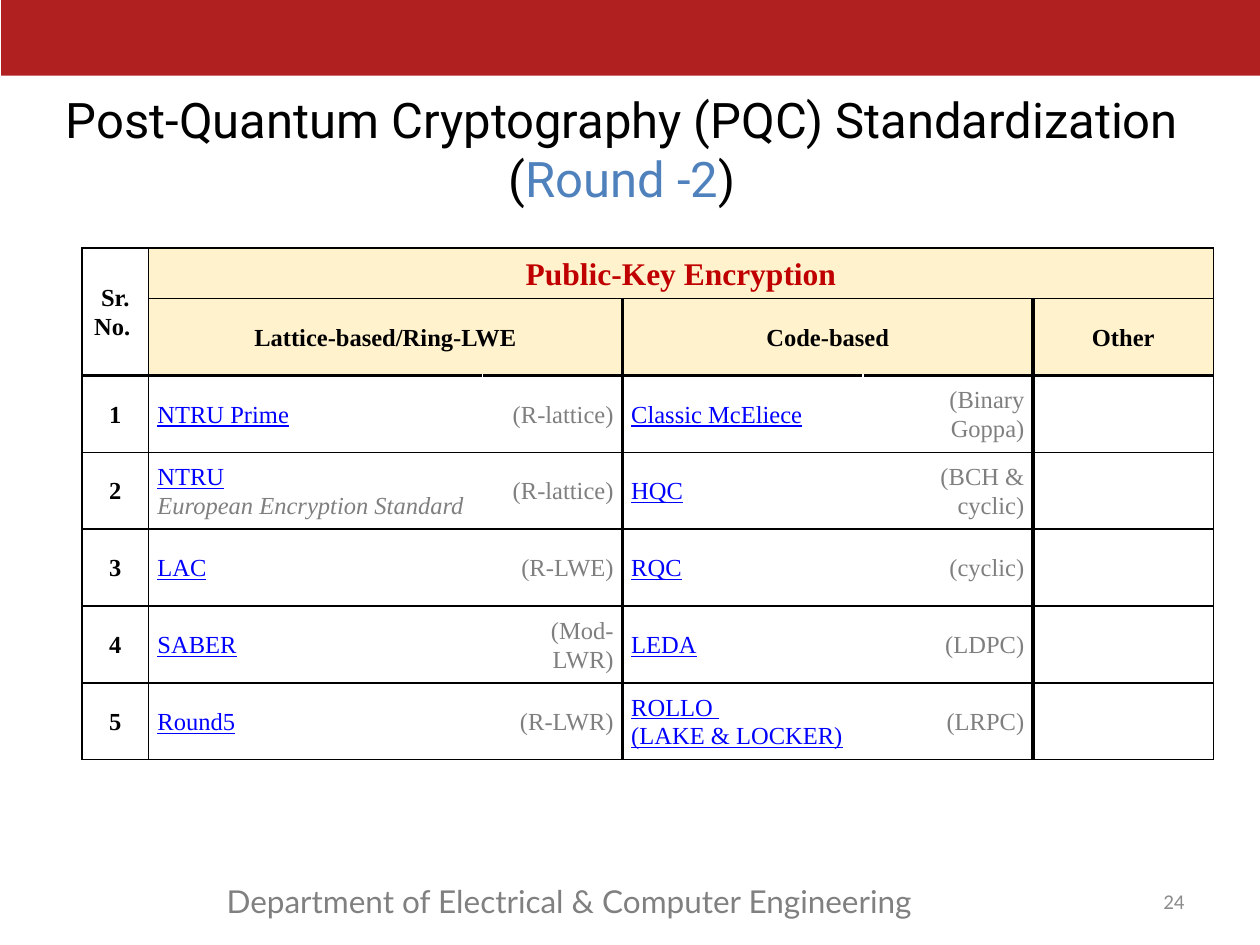
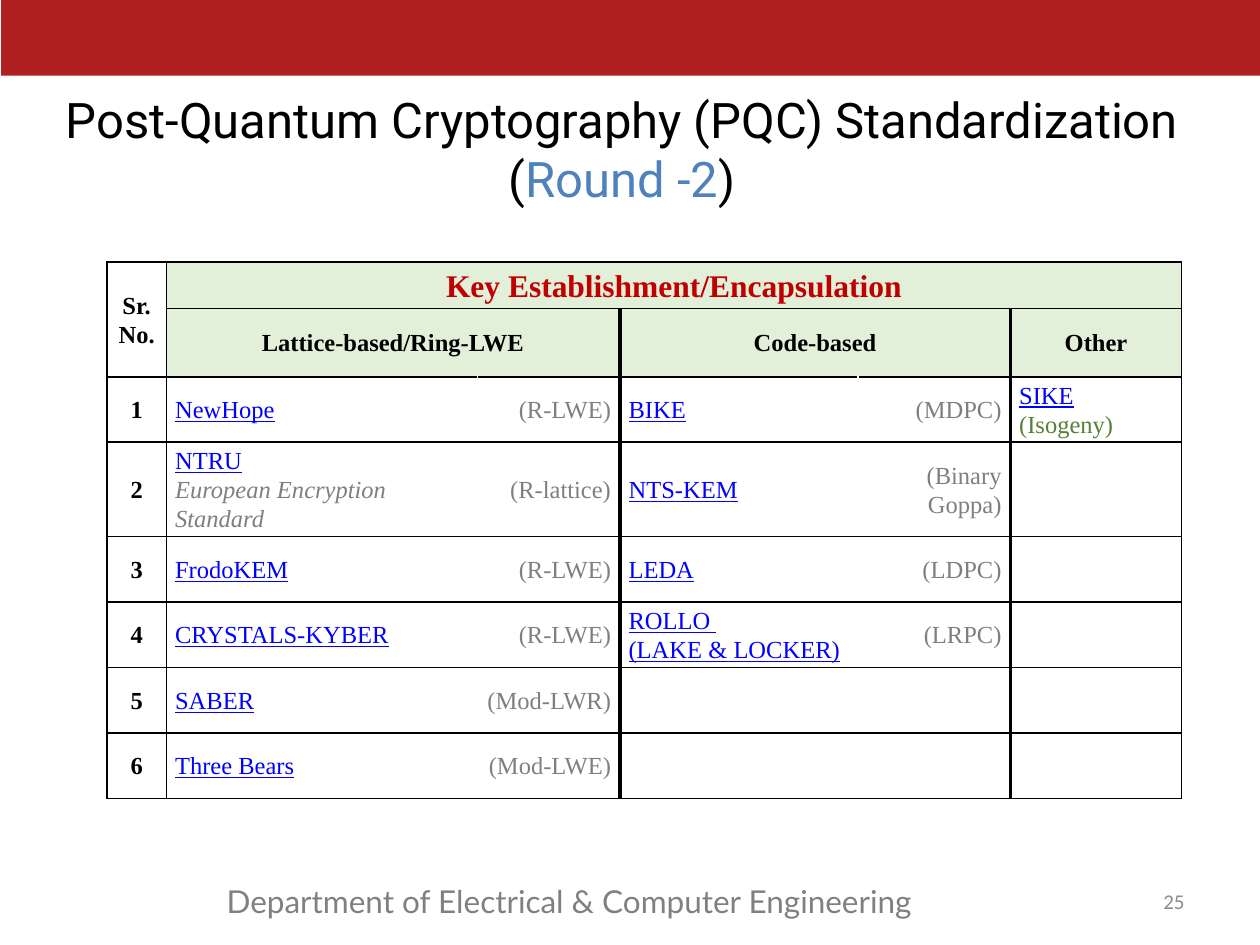
from lxml import etree
from pptx import Presentation
from pptx.dml.color import RGBColor
from pptx.enum import shapes, text
from pptx.oxml.ns import qn
from pptx.util import Inches, Pt

BLACK, WHITE, BAND, ACCENT = "000000", "FFFFFF", "B12020", "4F81BD"
FOOTER, NUMBER, HEADING = "808080", "8C8C8C", "C00000"
LINK, MUTED, GREEN = "0000FF", "7F7F7F", "538135"
LEFT, CENTER, RIGHT = text.PP_ALIGN.LEFT, text.PP_ALIGN.CENTER, text.PP_ALIGN.RIGHT

NTRU = [("NTRU", LINK, "u"), ("\n", BLACK, ""), ("European Encryption Standard", MUTED, "i")]
SIKE = [("SIKE", LINK, "u"), (" (Isogeny)", GREEN, "")]
ROLLO = "ROLLO \n(LAKE & LOCKER)"

ENCRYPTION = [
    ("NTRU Prime", "(R-lattice)", "Classic McEliece", "(Binary Goppa)", ""),
    (NTRU, "(R-lattice)", "HQC", "(BCH & cyclic)", ""),
    ("LAC", "(R-LWE)", "RQC", "(cyclic)", ""),
    ("SABER", "(Mod-LWR)", "LEDA", "(LDPC)", ""),
    ("Round5", "(R-LWR)", ROLLO, "(LRPC)", ""),
]
ENCAPSULATION = [
    ("NewHope", "(R-LWE)", "BIKE", "(MDPC)", SIKE),
    (NTRU, "(R-lattice)", "NTS-KEM", "(Binary Goppa)", ""),
    ("FrodoKEM", "(R-LWE)", "LEDA", "(LDPC)", ""),
    ("CRYSTALS-KYBER", "(R-LWE)", ROLLO, "(LRPC)", ""),
    ("SABER", "(Mod-LWR)", "", "", ""),
    ("Three Bears", "(Mod-LWE)", "", "", ""),
]


def rgb(value):
    """Turn a hex string into a colour."""
    return RGBColor.from_string(value)


class Deck:
    """Holds the shared style and the current slide."""

    def __init__(self):
        """Start an empty 4:3 presentation."""
        self.prs = Presentation()
        self.prs.slide_width, self.prs.slide_height = Inches(10), Inches(7.5)

    def new_slide(self, number):
        """Add a slide with its band, title, footer and number."""
        self.s = self.prs.slides.add_slide(self.prs.slide_layouts[5])
        self.band()
        self.title([("Post-Quantum Cryptography (PQC) Standardization (", BLACK, ""),
                    ("Round -2", ACCENT, ""), (")", BLACK, "")])
        self.label("Department of Electrical & Computer Engineering", 1.7, 5.77,
                   "Lato", 18, FOOTER, LEFT, text.MSO_ANCHOR.TOP)
        self.label(str(number), 8.91, 0.59, "Calibri", 12, NUMBER, RIGHT,
                   text.MSO_ANCHOR.MIDDLE)

    def put_text(self, tf, runs, font, size, align, bold=False):
        """Fill the first paragraph with (text, colour, style) runs."""
        p = tf.paragraphs[0]
        p.alignment = align
        p.font.name, p.font.size, p.font.bold = font, Pt(size), bold
        for words, colour, style in runs:
            for i, line in enumerate(words.split("\n")):
                if i:
                    p.add_line_break()
                if line:
                    r = p.add_run()
                    r.text = line
                    r.font.color.rgb = rgb(colour)
                    if "u" in style:
                        r.font.underline = True
                    if "i" in style:
                        r.font.italic = True
        return p

    def band(self):
        """Draw the red band along the top."""
        sp = self.s.shapes.add_shape(shapes.MSO_SHAPE.RECTANGLE, Inches(0.01), 0,
                                     Inches(10), Inches(0.6))
        sp.shadow.inherit = False
        sp.fill.solid()
        sp.fill.fore_color.rgb = rgb(BAND)
        sp.line.fill.background()

    def title(self, runs):
        """Place and fill the title placeholder."""
        sp = self.s.shapes.title
        sp.left, sp.top, sp.width, sp.height = map(Inches, (0.37, 0.81, 9.13, 0.74))
        tf = sp.text_frame
        tf.word_wrap = True
        tf.auto_size = text.MSO_AUTO_SIZE.NONE
        tf.vertical_anchor = text.MSO_ANCHOR.MIDDLE
        self.put_text(tf, runs, "Roboto", 28, CENTER)

    def label(self, words, left, width, font, size, colour, align, anchor):
        """Add one line of text at the foot of the slide."""
        sp = self.s.shapes.add_textbox(Inches(left), Inches(6.95), Inches(width), Inches(0.4))
        tf = sp.text_frame
        tf.word_wrap = True
        tf.vertical_anchor = anchor
        self.put_text(tf, [(words, colour, "")], font, size, align)

    def border(self, cell, side, colour, width):
        """Draw one edge of a cell."""
        ln = etree.SubElement(cell._tc.get_or_add_tcPr(), qn("a:ln" + side), w=str(Pt(width)))
        fill = etree.SubElement(ln, qn("a:solidFill"))
        etree.SubElement(fill, qn("a:srgbClr"), val=colour)

    def cell(self, table, row, col, runs, align=LEFT, size=14, bold=False,
             fill=None, span=(1, 1)):
        """Fill, frame and, where needed, merge a cell."""
        rows, cols = span
        column_edges = {2: (WHITE, 1), 4: (WHITE, 1), 3: (BLACK, 2.25), 5: (BLACK, 2.25)}
        row_edges = {2: (BLACK, 1.5)}
        thin = (BLACK, 1)
        edges = {"L": column_edges.get(col, thin), "R": column_edges.get(col + cols, thin),
                 "T": row_edges.get(row, thin), "B": row_edges.get(row + rows, thin)}
        origin = table.cell(row, col)
        if span != (1, 1):
            origin.merge(table.cell(row + rows - 1, col + cols - 1))
        for r in range(row, row + rows):
            for c in range(col, col + cols):
                part = table.cell(r, c)
                part.margin_left = part.margin_right = Inches(0.07)
                part.margin_top = part.margin_bottom = 0
                part.vertical_anchor = text.MSO_ANCHOR.MIDDLE
                for side, edge in edges.items():
                    self.border(part, side, *edge)
                if fill:
                    part.fill.solid()
                    part.fill.fore_color.rgb = rgb(fill)
                else:
                    part.fill.background()
        p = self.put_text(origin.text_frame, runs, "Times New Roman", size, align, bold)
        p.line_spacing = 1.07

    def scheme_table(self, heading, fill, body, left, top, widths, heights):
        """Add a table of numbered schemes under a two-row heading."""
        frame = self.s.shapes.add_table(len(heights), len(widths), Inches(left), Inches(top),
                                        Inches(sum(widths)), Inches(sum(heights)))
        table = frame.table
        table.first_row = table.horz_banding = False
        for column, width in zip(table.columns, widths):
            column.width = Inches(width)
        for row, height in zip(table.rows, heights):
            row.height = Inches(height)

        head = {"align": CENTER, "bold": True}
        self.cell(table, 0, 0, [("Sr. No. ", BLACK, "")], span=(2, 1), **head)
        self.cell(table, 0, 1, [(heading, HEADING, "")], size=18, fill=fill, span=(1, 5), **head)
        for col, name, cols in ((1, "Lattice-based/Ring-LWE", 2), (3, "Code-based", 2),
                                (5, "Other", 1)):
            self.cell(table, 1, col, [(name, BLACK, "")], fill=fill, span=(1, cols), **head)

        for number, schemes in enumerate(body, 1):
            self.cell(table, number + 1, 0, [(str(number), BLACK, "")], **head)
            for col, entry in enumerate(schemes, 1):
                is_family = col in (2, 4)
                if isinstance(entry, str):
                    entry = [(entry, MUTED, "") if is_family else (entry, LINK, "u")]
                self.cell(table, number + 1, col, entry, RIGHT if is_family else LEFT)


def main():
    """Build both slides and save them."""
    deck = Deck()
    deck.new_slide(24)
    deck.scheme_table("Public-Key Encryption", "FFF2CC", ENCRYPTION, 0.65, 1.97,
                      [0.53, 2.65, 1.11, 1.91, 1.35, 1.43], [0.4] + [0.61] * 6)
    deck.new_slide(25)
    deck.scheme_table("Key Establishment/Encapsulation", "E2EFD9", ENCAPSULATION, 0.85, 2.08,
                      [0.47, 2.47, 1.13, 1.89, 1.21, 1.36], [0.37, 0.54] + [0.52] * 6)
    deck.prs.save("out.pptx")


if __name__ == "__main__":
    main()
